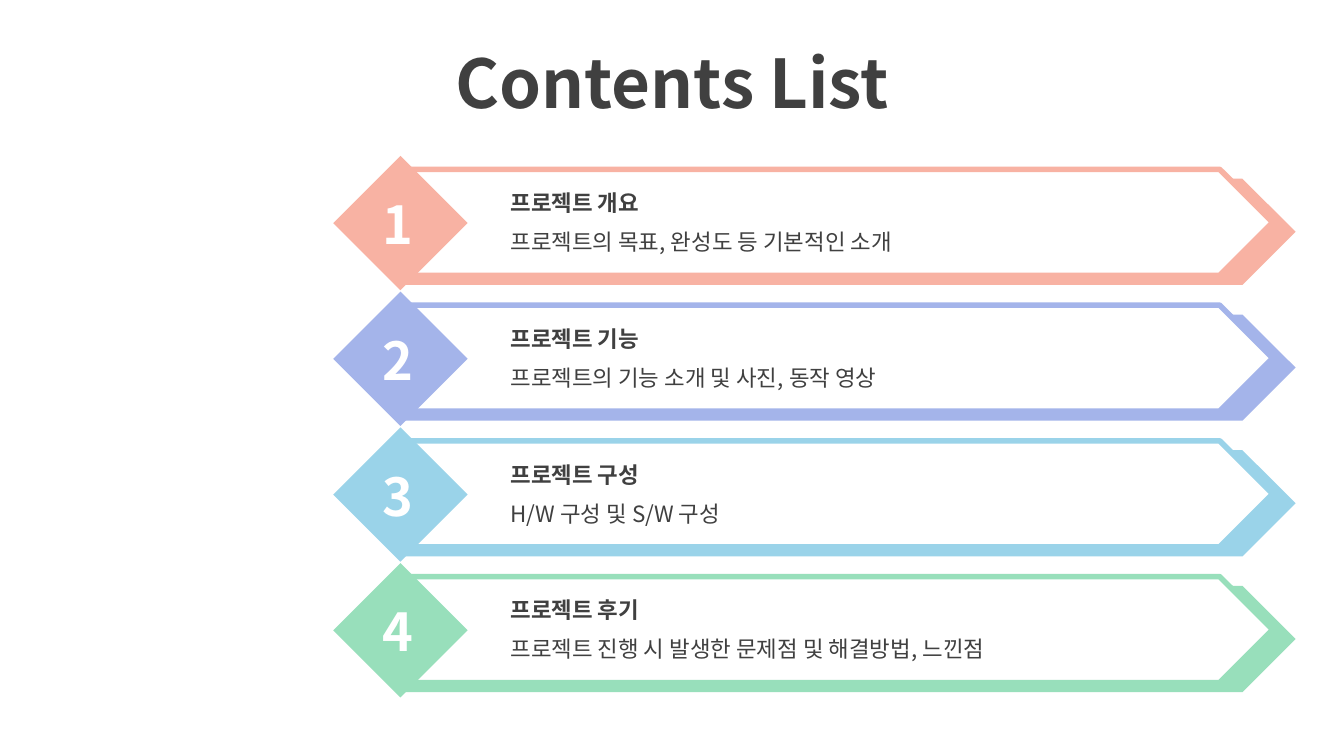
from dataclasses import dataclass

from lxml import etree
from pptx import Presentation
from pptx.dml.color import RGBColor
from pptx.enum.shapes import MSO_SHAPE
from pptx.enum.text import MSO_ANCHOR, MSO_AUTO_SIZE, PP_ALIGN
from pptx.oxml.ns import qn
from pptx.util import Inches, Pt

ARROW = MSO_SHAPE.PENTAGON
DIAMOND = MSO_SHAPE.DIAMOND
TOP, MIDDLE = MSO_ANCHOR.TOP, MSO_ANCHOR.MIDDLE
LEFT, CENTER = PP_ALIGN.LEFT, PP_ALIGN.CENTER
FIT, FIXED = MSO_AUTO_SIZE.SHAPE_TO_FIT_TEXT, MSO_AUTO_SIZE.NONE


@dataclass(frozen=True)
class Theme:
    """Colours, font and type sizes of the slide."""
    font: str = "Noto Sans CJK KR"
    ink: str = "404040"
    paper: str = "FFFFFF"
    accents: tuple = ("F8B2A3", "A4B4EA", "9AD3E9", "98DFBB")
    title_size: int = 36
    number_size: int = 28
    body_size: int = 12
    outline: int = 3


THEME = Theme()
SLIDE_WIDTH = Inches(10)
SLIDE_HEIGHT = SLIDE_WIDTH * 9 // 16
FIRST_TOP = 1.16
ROW_PITCH = 1.01
ENTRIES = (
    ("프로젝트 개요", "프로젝트의 목표, 완성도 등 기본적인 소개"),
    ("프로젝트 기능", "프로젝트의 기능 소개 및 사진, 동작 영상"),
    ("프로젝트 구성", "H/W 구성 및 S/W 구성"),
    ("프로젝트 후기", "프로젝트 진행 시 발생한 문제점 및 해결방법, 느낀점"),
)


def apply_format(target, values):
    """Set each named attribute on the target."""
    for name, value in values.items():
        setattr(target, name, value)


def add_text(shapes, area, text, size, color=THEME.ink, bold=False,
             align=LEFT, anchor=TOP, fit=FIT):
    """Add a one-line text box."""
    box = shapes.add_textbox(*map(Inches, area))
    apply_format(box.text_frame, {
        "word_wrap": True, "auto_size": fit, "vertical_anchor": anchor})
    para = box.text_frame.paragraphs[0]
    para.alignment = align
    span = para.add_run()
    span.text = text
    apply_format(span.font, {"name": THEME.font, "size": Pt(size), "bold": bold})
    span.font.color.rgb = RGBColor.from_string(color)
    east_asian = etree.SubElement(span.font._element, qn("a:ea"))
    east_asian.set("typeface", THEME.font)


def add_block(shapes, kind, area, fill, outline=None):
    """Add a filled preset shape, outlined only if a colour is given."""
    block = shapes.add_shape(kind, *map(Inches, area))
    block.shadow.inherit = False
    block.fill.solid()
    block.fill.fore_color.rgb = RGBColor.from_string(fill)
    if outline:
        block.line.color.rgb = RGBColor.from_string(outline)
        block.line.width = Pt(THEME.outline)
    else:
        block.line.fill.background()


def add_banner(page, top, accent):
    """Add the layered arrow and its diamond as one group."""
    shapes = page.shapes.add_group_shape().shapes
    add_block(shapes, ARROW, (3, top + 0.17, 6.64, 0.79), accent)
    add_block(shapes, ARROW, (3, top + 0.1, 6.47, 0.79), THEME.paper, accent)
    add_block(shapes, DIAMOND, (2.48, top, 1, 1), accent)


def add_entry(page, index, heading, summary):
    """Add one numbered row of the contents list."""
    top = FIRST_TOP + index * ROW_PITCH
    add_banner(page, top, THEME.accents[index])
    add_text(page.shapes, (2.74, top + 0.22, 0.44, 0.57), str(index + 1),
             THEME.number_size, THEME.paper, True, CENTER, MIDDLE)
    shapes = page.shapes.add_group_shape().shapes
    add_text(shapes, (3.7, top + 0.2, 5.2, 0.3), heading, THEME.body_size, bold=True)
    add_text(shapes, (3.7, top + 0.49, 5.2, 0.3), summary, THEME.body_size)


def main():
    """Build and save the contents slide."""
    deck = Presentation()
    apply_format(deck, {"slide_width": SLIDE_WIDTH, "slide_height": SLIDE_HEIGHT})
    page = deck.slides.add_slide(deck.slide_layouts[6])
    add_text(page.shapes, (0, 0.29, 10, 0.63), "Contents List", THEME.title_size,
             bold=True, align=CENTER, anchor=MIDDLE, fit=FIXED)
    for index, (heading, summary) in enumerate(ENTRIES):
        add_entry(page, index, heading, summary)
    deck.save("out.pptx")


if __name__ == "__main__":
    main()
